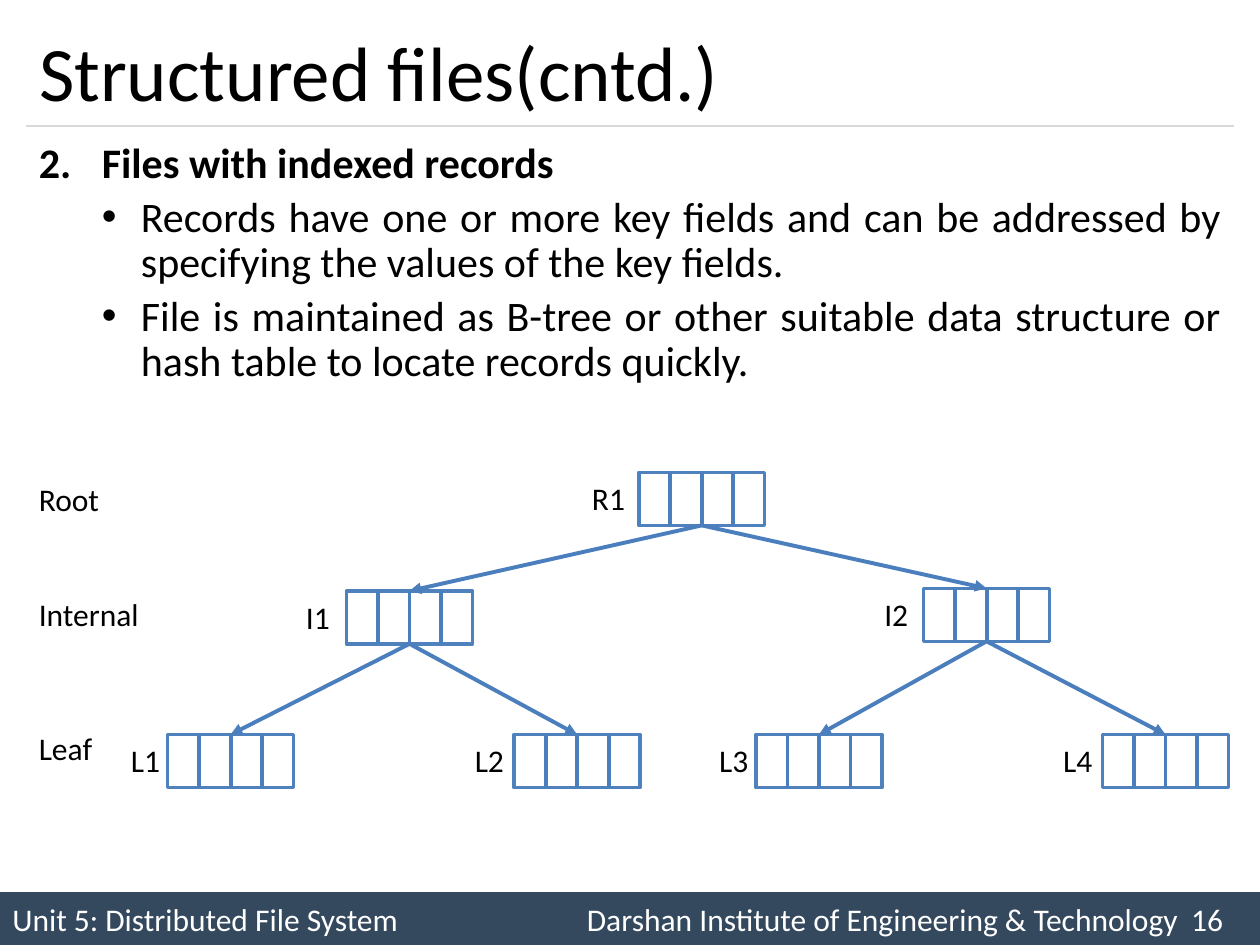
from lxml import etree
from pptx import Presentation
from pptx.dml.color import RGBColor
from pptx.enum.shapes import MSO_CONNECTOR, MSO_SHAPE
from pptx.enum.text import MSO_ANCHOR, MSO_AUTO_SIZE, PP_ALIGN
from pptx.oxml.ns import qn
from pptx.util import Inches, Pt

COLORS = {"text": "000000", "white": "FFFFFF", "rule": "D9D9D9",
          "footer": "34495E", "box": "4F81BD", "link": "4B7EBC"}
FONT = "Calibri"
TOP, BOTTOM = 0, 2  # connection sites
NODE_W, NODE_H, CELLS = 1.0, 0.42, 4

# name: (centre x, top y, label left, label top)
NODES = {
    "R1": (5.57, 3.75, 4.6, 3.75),
    "I1": (3.25, 4.69, 2.33, 4.7),
    "I2": (7.83, 4.67, 6.92, 4.67),
    "L1": (1.83, 5.83, 0.94, 5.83),
    "L2": (4.58, 5.83, 3.67, 5.83),
    "L3": (6.5, 5.83, 5.61, 5.83),
    "L4": (9.25, 5.83, 8.34, 5.83),
}
NODE_LABEL_W = {"R": 0.47, "I": 0.39, "L": 0.44}  # by first letter
CHILDREN = {"R1": ("I1", "I2"), "I1": ("L1", "L2"), "I2": ("L3", "L4")}
# name: (label top, label width)
LEVELS = {"Root": (3.76, 0.68), "Internal": (4.67, 1.0), "Leaf": (5.74, 0.63)}


def rgb(name):
    return RGBColor.from_string(COLORS[name])


def add_run(p, text, size, color="text", bold=False):
    r = p.add_run()
    r.text = text
    for key, value in {"name": FONT, "size": Pt(size), "bold": bold}.items():
        setattr(r.font, key, value)
    r.font.color.rgb = rgb(color)


def place(sp, box):
    for key, value in zip(("left", "top", "width", "height"), box):
        setattr(sp, key, Inches(value))


def add_rect(shapes, box, fill, line=None):
    sp = shapes.add_shape(MSO_SHAPE.RECTANGLE, *map(Inches, box))
    sp.shadow.inherit = False
    sp.fill.solid()
    sp.fill.fore_color.rgb = rgb(fill)
    if line:
        sp.line.color.rgb = rgb(line)
        sp.line.width = Pt(2)
    else:
        sp.line.fill.background()
    return sp


def add_line(shapes, start, end, color="link", width=2.25, arrow=False):
    cxn = shapes.add_connector(MSO_CONNECTOR.STRAIGHT,
                               *map(Inches, (*start, *end)))
    cxn.line.color.rgb = rgb(color)
    cxn.line.width = Pt(width)
    if arrow:
        ln = cxn.line._get_or_add_ln()
        etree.SubElement(ln, qn("a:tailEnd"), type="triangle")
    etree.SubElement(cxn._element.spPr, qn("a:effectLst"))
    return cxn


def join(cxn, start, start_site, end, end_site):
    cxn.begin_connect(start, start_site)
    cxn.end_connect(end, end_site)


def add_label(s, text, left, top, width):
    tf = s.shapes.add_textbox(*map(Inches, (left, top, width, 0.4))).text_frame
    tf.word_wrap = False
    tf.auto_size = MSO_AUTO_SIZE.SHAPE_TO_FIT_TEXT
    add_run(tf.paragraphs[0], text, 18)


def add_footer(s, box):
    tf = add_rect(s.shapes, box, "footer").text_frame
    tf.vertical_anchor = MSO_ANCHOR.MIDDLE
    p = tf.paragraphs[0]
    p.alignment = PP_ALIGN.LEFT
    tabs = etree.SubElement(p._p.get_or_add_pPr(), qn("a:tabLst"))
    for pos, align in ((4.56, "l"), (9.61, "r")):
        etree.SubElement(tabs, qn("a:tab"), pos=str(Inches(pos)), algn=align)
    add_run(p, "Unit 5: Distributed File System\t"
               "Darshan Institute of Engineering & Technology\t16", 18, "white")


def add_title(s, box):
    title = s.shapes.title
    place(title, box)
    tf = title.text_frame
    tf.vertical_anchor = MSO_ANCHOR.MIDDLE
    p = tf.paragraphs[0]
    p.alignment = PP_ALIGN.LEFT
    add_run(p, "Structured files(cntd.)", 44)
    left, top, width, height = box
    y = top + height
    add_line(s.shapes, (left, y), (left + width, y), "rule", 0.75)


def add_body(s, box):
    tf = s.shapes.add_textbox(*map(Inches, box)).text_frame
    tf.word_wrap = True
    items = [
        (0, "Files with indexed records"),
        (1, "Records have one or more key fields and can be addressed by "
            "specifying the values of the key fields."),
        (1, "File is maintained as B-tree or other suitable data structure or "
            "hash table to locate records quickly."),
    ]
    for i, (level, text) in enumerate(items):
        p = tf.add_paragraph() if i else tf.paragraphs[0]
        formats = {"level": level, "alignment": PP_ALIGN.JUSTIFY,
                   "line_spacing": 0.9, "space_before": Pt(4.8 if i else 0)}
        for key, value in formats.items():
            setattr(p, key, value)
        margin, indent = ((0.5, -0.5), (0.81, -0.31))[level]
        pPr = p._p.get_or_add_pPr()
        pPr.set("marL", str(Inches(margin)))
        pPr.set("indent", str(Inches(indent)))
        if level:
            etree.SubElement(pPr, qn("a:buFont"), typeface="Arial")
            etree.SubElement(pPr, qn("a:buChar"), char="•")
        else:
            etree.SubElement(pPr, qn("a:buAutoNum"), type="arabicPeriod",
                             startAt="2")
        add_run(p, text, 24, bold=level == 0)


def add_node(s, center, top):
    """A record block: a rectangle split into equal cells."""
    group = s.shapes.add_group_shape()
    left = center - NODE_W / 2
    rect = add_rect(group.shapes, (left, top, NODE_W, NODE_H), "white", "box")
    for i in range(1, CELLS):
        x = left + i * NODE_W / CELLS
        divider = add_line(group.shapes, (x, top + NODE_H), (x, top))
        if 2 * i == CELLS:
            join(divider, rect, BOTTOM, rect, TOP)
    return rect


def add_tree(s, level_left):
    rects = {name: add_node(s, x, y) for name, (x, y, *_) in NODES.items()}
    # Arrows from each parent to its children
    for parent, children in CHILDREN.items():
        for child in children:
            x1, y1 = NODES[parent][:2]
            arrow = add_line(s.shapes, (x1, y1 + NODE_H), NODES[child][:2],
                             arrow=True)
            join(arrow, rects[parent], BOTTOM, rects[child], TOP)
    # Level and node labels
    for name, (top, width) in LEVELS.items():
        add_label(s, name, level_left, top, width)
    for name, (_, _, left, top) in NODES.items():
        add_label(s, name, left, top, NODE_LABEL_W[name[0]])


def main():
    prs = Presentation()
    prs.slide_width, prs.slide_height = Inches(10), Inches(7.5)
    s = prs.slides.add_slide(prs.slide_layouts[5])
    add_footer(s, (0, 7.08, 10, 0.42))
    add_title(s, (0.21, 0.12, 9.58, 0.88))
    add_body(s, (0.21, 1.08, 9.58, 2.25))
    add_tree(s, 0.21)
    prs.save("out.pptx")


if __name__ == "__main__":
    main()
